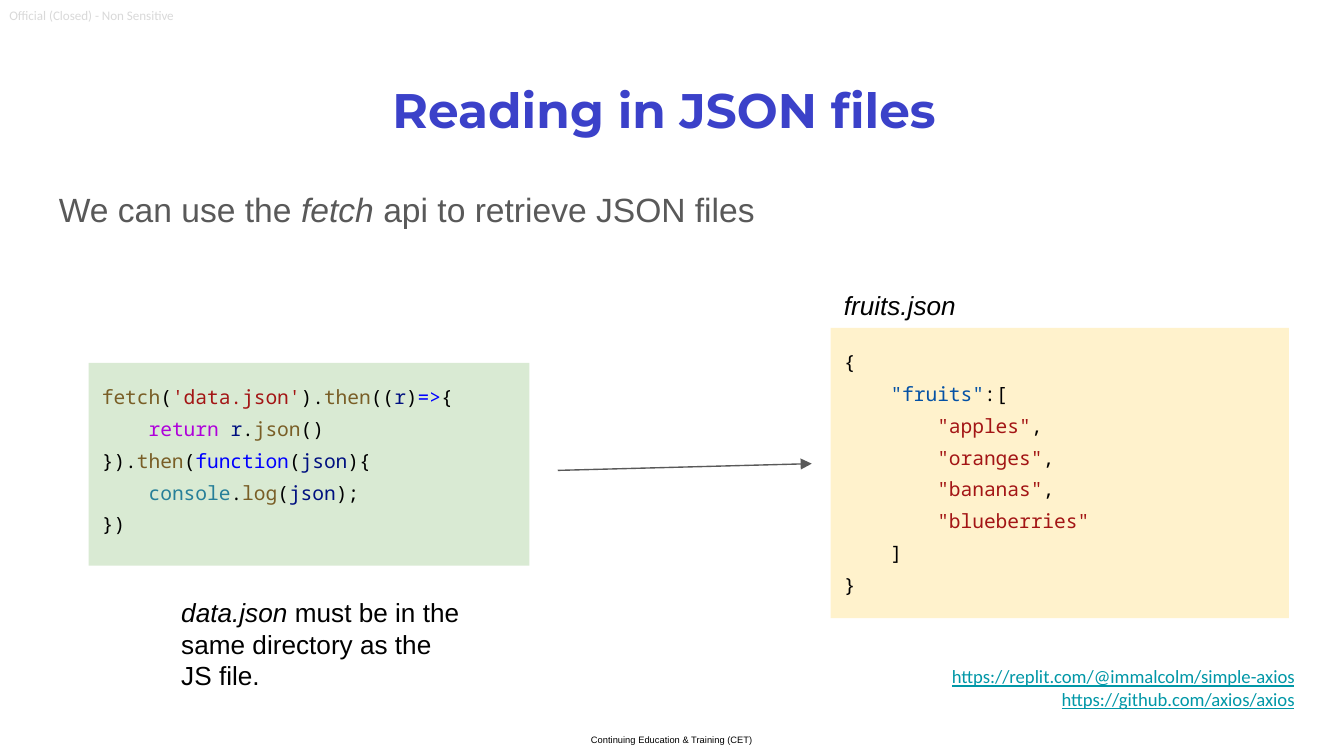
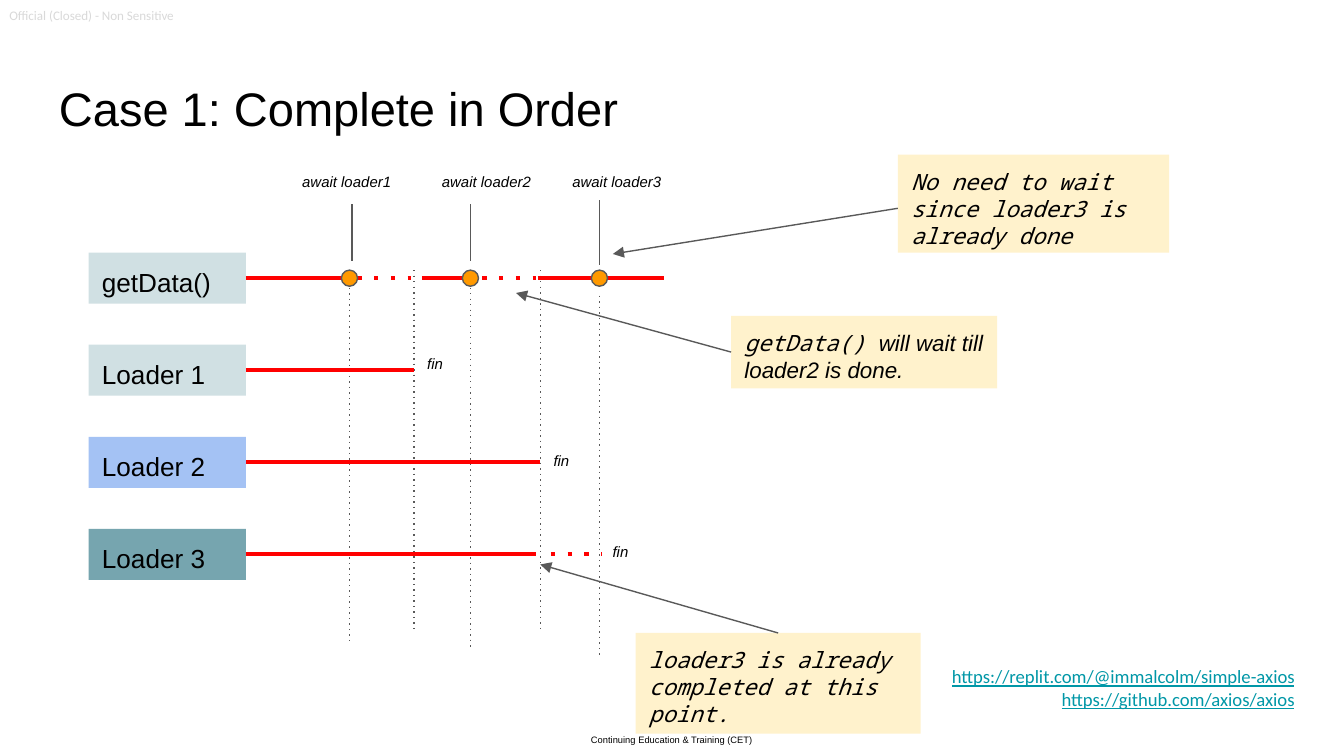
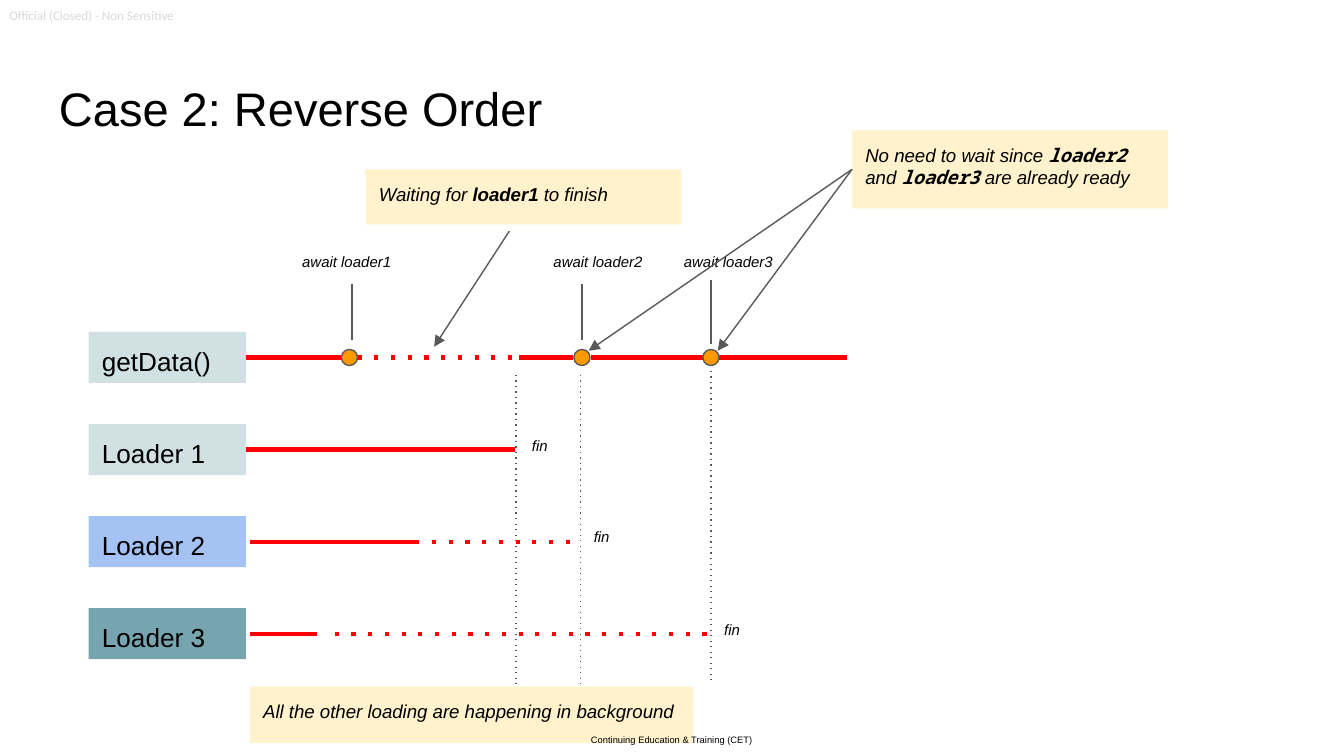
"""Builds three slides on fetching JSON files and on the order in which loaders finish."""
from lxml import etree
from pptx import Presentation
from pptx.dml.color import RGBColor
from pptx.enum.shapes import MSO_CONNECTOR, MSO_SHAPE
from pptx.enum.text import MSO_ANCHOR, PP_ALIGN
from pptx.oxml.ns import qn
from pptx.util import Inches, Pt

STRAIGHT = MSO_CONNECTOR.STRAIGHT
RECTANGLE, OVAL = MSO_SHAPE.RECTANGLE, MSO_SHAPE.OVAL
LEFT, CENTER, RIGHT = PP_ALIGN.LEFT, PP_ALIGN.CENTER, PP_ALIGN.RIGHT
TOP_SIDE, LEFT_SIDE, RIGHT_SIDE = 0, 1, 3

SLIDE_WIDTH = 10
SLIDE_HEIGHT = SLIDE_WIDTH * 9 / 16
BLACK, GRAY, RED, ORANGE = "000000", "595959", "FF0000", "FF9900"
CREAM, GREEN, BLUE, TEAL = "FFF2CC", "D9EAD3", "3B41C9", "0097A7"
SANS, MONO = "Arial", "Noto Sans Mono"

RUN_STYLES = {
    "italic": {"italic": True},
    "bold": {"bold": True},
    "mono": {"name": MONO},
    "mono bold": {"name": MONO, "bold": True},
    "call": {"color": "795E26"},
    "string": {"color": "A31515"},
    "variable": {"color": "001080"},
    "keyword": {"color": "0000FF"},
    "control": {"color": "AF00DB"},
    "object": {"color": "267F99"},
    "key": {"color": "0451A5"},
}

MARKING = "Official (Closed) - Non Sensitive"
FOOTER = "Continuing Education & Training (CET)"
LINKS = [["https://replit.com/@immalcolm/simple-axios"], ["https://github.com/axios/axios"]]

FETCH_CODE = [
    [("fetch", "call"), "(", ("'data.json'", "string"), ").", ("then", "call"), "((",
     ("r", "variable"), ")", ("=>", "keyword"), "{"],
    ["    ", ("return", "control"), " ", ("r", "variable"), ".", ("json", "call"), "()"],
    ["}).", ("then", "call"), "(", ("function", "keyword"), "(", ("json", "variable"), "){"],
    ["    ", ("console", "object"), ".", ("log", "call"), "(", ("json", "variable"), ");"],
    ["})"],
]
FRUITS_CODE = [
    ["{"],
    ["    ", ("\"fruits\"", "key"), ":["],
    ["        ", ("\"apples\"", "string"), ","],
    ["        ", ("\"oranges\"", "string"), ","],
    ["        ", ("\"bananas\"", "string"), ","],
    ["        ", ("\"blueberries\"", "string")],
    ["    ]"],
    ["}"],
]

TASKS = [("getData()", "D0E0E3"), ("Loader 1", "D0E0E3"), ("Loader 2", "A4C2F4"), ("Loader 3", "76A5AF")]
TASK_LEFT, TASK_WIDTH, TASK_HEIGHT, ROW_PITCH = 0.66, 1.17, 0.38, 0.685
TASK_RIGHT = TASK_LEFT + TASK_WIDTH
DOT_SIZE = 0.12

# bars: row, start, end, dotted; awaits: text centre, width, tick, dot, extra tick reach
# guides: x, top; fins: left, top, width; arrows: side of the box or start point, end point
CASE_IN_ORDER = {
    "title": "Case 1: Complete in Order",
    "top": 1.88,
    "bars": [(0, TASK_RIGHT, 2.54, False), (0, 2.66, 3.06, True), (0, 3.14, 3.56, False),
             (0, 3.59, 3.99, True), (0, 4, 4.42, False), (0, 4.52, 4.94, False),
             (1, TASK_RIGHT, 3.08, False), (2, TASK_RIGHT, 4.02, False),
             (3, TASK_RIGHT, 3.99, False), (3, 4.1, 4.48, True)],
    "awaits": [(2.58, 1.32, 2.62, 2.6, 0), (3.62, 1.32, 3.5, 3.5, 0), (4.59, 0.9, 4.46, 4.46, 0.03)],
    "guide_length": 2.7,
    "guides": [(2.6, 2.1), (3.08, 2.01), (3.5, 2.14), (4.02, 2.01), (4.46, 2.2)],
    "fins": [(3.08, 2.57, 0.71), (4.02, 3.29, 0.71), (4.46, 3.97, 0.37)],
    "callout_size": 12,
    "callouts": [
        ((5.44, 2.35, 1.98, 0.54), [("getData() ", "mono"), "will wait till loader2 is done."],
         [(LEFT_SIDE, (3.84, 2.18))]),
        ((4.73, 4.71, 2.12, 0.75), [("loader3 is already completed at this point.", "mono")],
         [(TOP_SIDE, (4.02, 4.2))]),
        ((6.68, 1.15, 2.02, 0.73), [("No need to wait since loader3 is already done", "mono")],
         [((6.68, 1.55), (4.56, 1.89))]),
    ],
}
CASE_REVERSE = {
    "title": "Case 2: Reverse Order",
    "top": 2.47,
    "bars": [(0, TASK_RIGHT, 2.54, False), (0, 2.66, 3.84, True), (0, 3.86, 4.26, False),
             (0, 4.4, 5.23, False), (0, 5.35, 6.3, False),
             (1, TASK_RIGHT, 3.83, False), (2, 1.86, 3.09, False), (2, 3.09, 4.26, True),
             (3, 1.86, 2.36, False), (3, 2.49, 5.29, True)],
    "awaits": [(2.58, 1.32, 2.62, 2.6, 0), (4.45, 1.32, 4.33, 4.33, 0), (5.42, 0.9, 5.29, 5.29, 0.03)],
    "guide_length": 2.33,
    "guides": [(3.84, 2.79), (4.32, 2.79), (5.29, 2.76)],
    "fins": [(3.86, 3.18, 0.71), (4.32, 3.86, 0.37), (5.29, 4.55, 0.71)],
    "callout_size": 10,
    "callouts": [
        ((6.34, 0.97, 2.35, 0.58),
         ["No need to wait since ", ("loader2", "mono bold"), " and ", ("loader3", "mono bold"),
          " are already ready"],
         [(LEFT_SIDE, (5.34, 2.61)), (LEFT_SIDE, (4.38, 2.61))]),
        ((2.72, 1.26, 2.35, 0.41), ["Waiting for ", ("loader1", "bold"), " to finish"],
         [((3.79, 1.72), (3.23, 2.58))]),
        ((1.86, 5.11, 3.3, 0.42), ["All the other loading are happening in background"], []),
    ],
}


def rgb(value):
    """Turn a hex string into a colour."""
    return RGBColor.from_string(value)


def style_font(font, color=None, **settings):
    """Apply a colour and any other font settings."""
    if color:
        font.color.rgb = rgb(color)
    for name, value in settings.items():
        setattr(font, name, value)


def write(shape, paragraphs, size, name=SANS, color=BLACK, align=LEFT, spacing=None, inset=0.1, **font):
    """Fill a shape with paragraphs, each a list of strings or (text, style) pairs."""
    frame = shape.text_frame
    frame.word_wrap = True
    frame.vertical_anchor = MSO_ANCHOR.TOP
    frame.margin_left = frame.margin_right = Inches(inset)
    frame.margin_top = frame.margin_bottom = Inches(inset)
    for index, pieces in enumerate(paragraphs):
        paragraph = frame.add_paragraph() if index else frame.paragraphs[0]
        paragraph.alignment = align
        if spacing:
            paragraph.line_spacing = spacing
        style_font(paragraph.font, color, size=Pt(size), name=name, **font)
        for piece in pieces:
            text, style = (piece, None) if isinstance(piece, str) else piece
            run = paragraph.add_run()
            run.text = text
            if style:
                style_font(run.font, **RUN_STYLES[style])


def add_text(slide, box, paragraphs, size, **options):
    """Add a text box at left, top, width, height."""
    write(slide.shapes.add_textbox(*map(Inches, box)), paragraphs, size, **options)


def add_block(slide, box, fill, kind=RECTANGLE, outline=None):
    """Add a filled shape, outlined only when a colour is given."""
    shape = slide.shapes.add_shape(kind, *map(Inches, box))
    shape.shadow.inherit = False
    shape.fill.solid()
    shape.fill.fore_color.rgb = rgb(fill)
    if outline:
        shape.line.color.rgb = rgb(outline)
        shape.line.width = Pt(0.75)
    else:
        shape.line.fill.background()
    return shape


def add_line(slide, start, end, color=GRAY, width=0.75, dotted=False, arrow=False):
    """Add a straight connector, dotted or with an arrowhead if asked."""
    connector = slide.shapes.add_connector(STRAIGHT, *map(Inches, (*start, *end)))
    connector.line.color.rgb = rgb(color)
    connector.line.width = Pt(width)
    properties = connector.element.spPr
    outline = properties.find(qn("a:ln"))
    if dotted:
        etree.SubElement(outline, qn("a:prstDash"), val="dot")
    if arrow:
        etree.SubElement(outline, qn("a:tailEnd"), type="triangle")
    etree.SubElement(properties, qn("a:effectLst"))
    return connector


def add_links(slide):
    """Add the two source addresses at the lower right."""
    add_text(slide, (4.86, 4.85, 4.87, 0.71), LINKS, 10, name="Calibri", color=TEAL, align=RIGHT,
             underline=True)


def add_frame(slide):
    """Add the footer and the classification marking."""
    add_text(slide, (4.02, 5.42, 1.96, 0.29), [[FOOTER]], 5, align=CENTER)
    add_text(slide, (0, 0, 1.62, 0.23), [[MARKING]], 7, name="Calibri", color="D9D9D9", inset=0.07)


def add_reading_slide(slide):
    """Show the fetch code, the file it reads and the notes around them."""
    add_text(slide, (0.34, 1.26, 9.32, 3.74),
             [["We can use the ", ("fetch", "italic"), " api to retrieve JSON files"]], 18,
             color=GRAY, spacing=1.15)
    for box, fill, code in (((6.18, 2.44, 3.41, 2.16), CREAM, FRUITS_CODE),
                            ((0.66, 2.7, 3.28, 1.51), GREEN, FETCH_CODE)):
        write(add_block(slide, box, fill), code, 10.5, name=MONO, spacing=1.36)
    add_text(slide, (6.18, 2.05, 1.19, 0.32), [["fruits.json"]], 14, italic=True)
    add_line(slide, (4.15, 3.5), (6.04, 3.45), arrow=True)
    add_text(slide, (1.25, 4.34, 2.31, 0.7),
             [[("data.json", "italic"), " must be in the same directory as the JS file."]], 14)
    add_text(slide, (1.27, 0.43, 7.45, 0.64), [["Reading in JSON files "]], 26, name="Montserrat",
             color=BLUE, align=CENTER, spacing=1.15, bold=True)


def add_case_slide(slide, case):
    """Draw one timeline with its task rows, await marks, guides and callouts."""
    top = case["top"]
    row_tops = [top + row * ROW_PITCH for row in range(len(TASKS))]
    middle = top + TASK_HEIGHT / 2
    add_text(slide, (0.34, 0.49, 9.32, 0.63), [[case["title"]]], 25.2)

    tasks = []
    for (label, fill), row_top in zip(TASKS, row_tops):
        task = add_block(slide, (TASK_LEFT, row_top, TASK_WIDTH, TASK_HEIGHT), fill)
        write(task, [[label]], 14)
        tasks.append(task)
    for x, guide_top in case["guides"]:
        add_line(slide, (x, guide_top), (x, guide_top + case["guide_length"]), dotted=True)
    for row, start, end, dotted in case["bars"]:
        y = row_tops[row] + TASK_HEIGHT / 2
        bar = add_line(slide, (start, y), (end, y), RED, 2.25, dotted)
        if start == TASK_RIGHT:
            bar.begin_connect(tasks[row], RIGHT_SIDE)
    for left, fin_top, width in case["fins"]:
        add_text(slide, (left, fin_top, width, 0.32), [["fin"]], 8, italic=True)
    for number, (center, width, tick, dot, reach) in enumerate(case["awaits"], 1):
        add_text(slide, (center - width / 2, top - 0.66, width, 0.41), [[f"await loader{number}"]], 8,
                 align=CENTER, italic=True)
        add_line(slide, (tick, top - 0.36 - reach), (tick, top + 0.06 + reach))
        add_block(slide, (dot - DOT_SIZE / 2, middle - DOT_SIZE / 2, DOT_SIZE, DOT_SIZE), ORANGE,
                  OVAL, GRAY)

    for box, pieces, arrows in case["callouts"]:
        callout = add_block(slide, box, CREAM)
        write(callout, [pieces], case["callout_size"], italic=True)
        for origin, target in arrows:
            attached = isinstance(origin, int)
            arrow = add_line(slide, box[:2] if attached else origin, target, arrow=True)
            if attached:
                arrow.begin_connect(callout, origin)


def main():
    """Build and save the presentation."""
    presentation = Presentation()
    presentation.slide_width = Inches(SLIDE_WIDTH)
    presentation.slide_height = Inches(SLIDE_HEIGHT)
    blank = presentation.slide_layouts[6]
    reading, in_order, reverse = [presentation.slides.add_slide(blank) for _ in range(3)]
    add_reading_slide(reading)
    add_case_slide(in_order, CASE_IN_ORDER)
    add_case_slide(reverse, CASE_REVERSE)
    for slide in (reading, in_order):
        add_links(slide)
    for slide in (reading, in_order, reverse):
        add_frame(slide)
    presentation.save("out.pptx")


if __name__ == "__main__":
    main()
